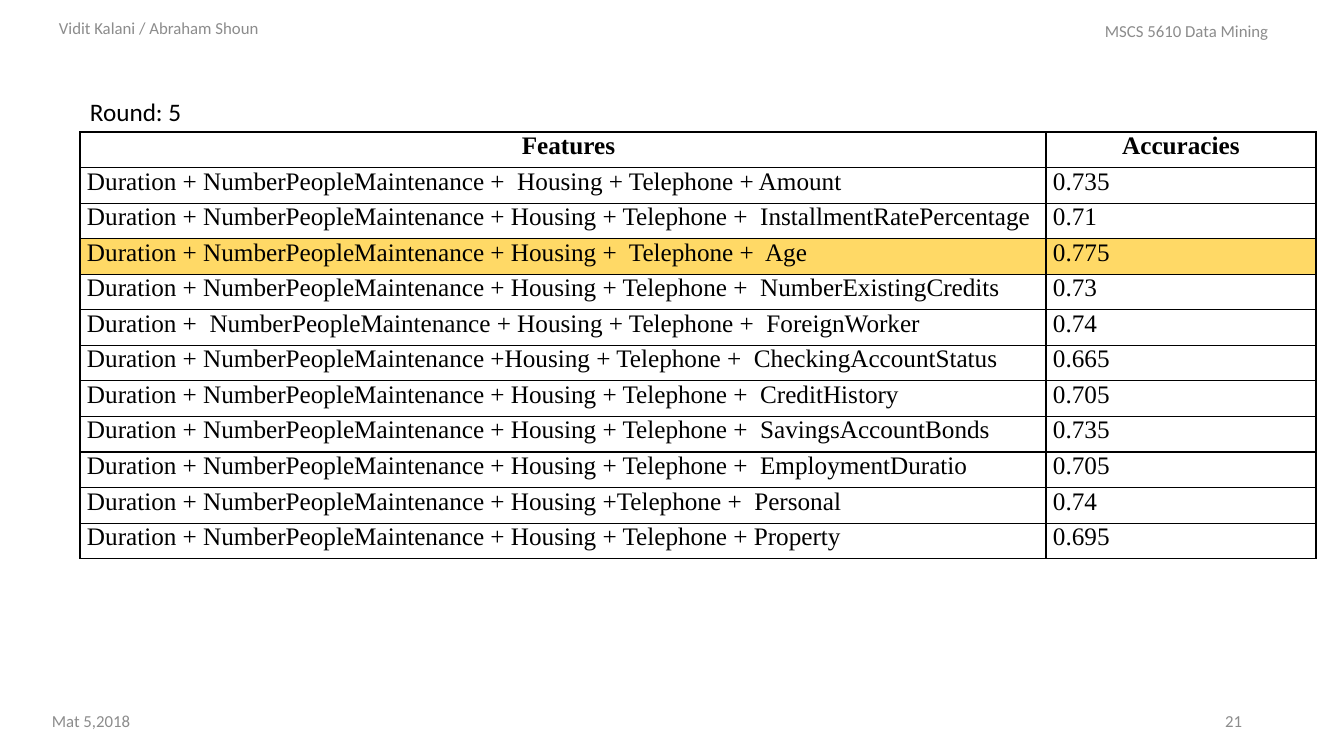
import dataclasses
import lxml.etree
import pptx
import pptx.dml.color
import pptx.enum.text
import pptx.oxml.ns
import pptx.util

EMU_PER_PIXEL = 914400 / 100.8
ALIGN = pptx.enum.text.PP_ALIGN
ANCHOR = pptx.enum.text.MSO_ANCHOR


@dataclasses.dataclass(frozen=True)
class Theme:
    ink: str = "000000"
    muted: str = "8C8C8C"
    highlight: str = "FFD966"
    body_font: str = "Calibri"
    table_font: str = "Times New Roman"
    body_size: int = 18
    margin_size: int = 12
    space_after: float = 1.1
    border: int = 1


THEME = Theme()

HEADINGS = ("Features", "Accuracies")
RESULTS = (
    ("Duration + NumberPeopleMaintenance +  Housing + Telephone + Amount", "0.735"),
    ("Duration + NumberPeopleMaintenance + Housing + Telephone +  InstallmentRatePercentage", "0.71"),
    ("Duration + NumberPeopleMaintenance + Housing +  Telephone +  Age", "0.775"),
    ("Duration + NumberPeopleMaintenance + Housing + Telephone +  NumberExistingCredits", "0.73"),
    ("Duration +  NumberPeopleMaintenance + Housing + Telephone +  ForeignWorker", "0.74"),
    ("Duration + NumberPeopleMaintenance +Housing + Telephone +  CheckingAccountStatus", "0.665"),
    ("Duration + NumberPeopleMaintenance + Housing + Telephone +  CreditHistory", "0.705"),
    ("Duration + NumberPeopleMaintenance + Housing + Telephone +  SavingsAccountBonds", "0.735"),
    ("Duration + NumberPeopleMaintenance + Housing + Telephone +  EmploymentDuratio", "0.705"),
    ("Duration + NumberPeopleMaintenance + Housing +Telephone +  Personal", "0.74"),
    ("Duration + NumberPeopleMaintenance + Housing + Telephone + Property", "0.695"),
)


def px(pixels):
    return pptx.util.Emu(round(pixels * EMU_PER_PIXEL))


def style(paragraph, font_name, size, color, bold=False):
    paragraph.font.name = font_name
    paragraph.font.size = pptx.util.Pt(size)
    paragraph.font.bold = bold
    paragraph.font.color.rgb = pptx.dml.color.RGBColor.from_string(color)


def add_text(slide, box, text, size, color, align=ALIGN.LEFT, anchor=ANCHOR.MIDDLE):
    frame = slide.shapes.add_textbox(*map(px, box)).text_frame
    frame.word_wrap = True
    frame.vertical_anchor = anchor
    paragraph = frame.paragraphs[0]
    paragraph.text = text
    paragraph.alignment = align
    style(paragraph, THEME.body_font, size, color)


def add_margins(slide, box):
    left, top, width, height = box
    notes = (
        ((49, 8, 302, 40), "Vidit Kalani / Abraham Shoun", ALIGN.LEFT),
        ((1095, 11, width - 1095, 40), "MSCS 5610 Data Mining", ALIGN.LEFT),
        ((42, height - 55, 302, 40), "Mat 5,2018", ALIGN.LEFT),
        ((950, height - 55, 302, 40), "21", ALIGN.RIGHT),
    )
    for (x, y, note_width, note_height), text, align in notes:
        add_text(slide, (left + x, top + y, note_width, note_height), text,
                 THEME.margin_size, THEME.muted, align)


def set_borders(cell):
    properties = cell._tc.get_or_add_tcPr()
    qn = pptx.oxml.ns.qn
    for position, side in enumerate(("lnL", "lnR", "lnT", "lnB")):
        line = lxml.etree.Element(qn(f"a:{side}"), w=str(pptx.util.Pt(THEME.border)))
        fill = lxml.etree.SubElement(line, qn("a:solidFill"))
        lxml.etree.SubElement(fill, qn("a:srgbClr"), val=THEME.ink)
        properties.insert(position, line)


def fill_cell(cell, text, heading, highlighted):
    cell.margin_left = cell.margin_right = px(7)
    cell.margin_top = cell.margin_bottom = 0
    if highlighted:
        cell.fill.solid()
        cell.fill.fore_color.rgb = pptx.dml.color.RGBColor.from_string(THEME.highlight)
    else:
        cell.fill.background()
    set_borders(cell)
    paragraph = cell.text_frame.paragraphs[0]
    paragraph.text = text
    paragraph.alignment = ALIGN.CENTER if heading else ALIGN.LEFT
    paragraph.space_after = pptx.util.Pt(THEME.space_after)
    style(paragraph, THEME.table_font, THEME.body_size, THEME.ink, heading)


def add_results(slide, box):
    left, top, width, height = box
    rows = (HEADINGS, *RESULTS)
    best = max(RESULTS, key=lambda result: float(result[1]))
    table = slide.shapes.add_table(len(rows), len(HEADINGS), *map(px, box)).table
    table.horz_banding = False
    table.first_row = False
    features_width = 966
    table.columns[0].width = px(features_width)
    table.columns[1].width = px(width - features_width)
    for row_index, values in enumerate(rows):
        table.rows[row_index].height = px(height / len(rows))
        for column_index, text in enumerate(values):
            fill_cell(table.cell(row_index, column_index), text, row_index == 0, values is best)
    features_heading = table.cell(0, 0).text_frame.paragraphs[0]
    features_heading._p.get_or_add_pPr().set("marL", str(px(11)))


def add_round(slide, box):
    left, top, width, height = box
    title_height = 41
    add_results(slide, (left, top + title_height, width, height - title_height))
    add_text(slide, (left, top, 897, title_height), "Round: 5",
             THEME.body_size, THEME.ink, anchor=ANCHOR.TOP)


def main():
    width, height = 1344, 756
    presentation = pptx.Presentation()
    presentation.slide_width = px(width)
    presentation.slide_height = px(height)
    slide = presentation.slides.add_slide(presentation.slide_layouts[6])
    add_margins(slide, (0, 0, width, height))
    add_round(slide, (80, 91, 1236, 468))
    presentation.save("out.pptx")


main()
